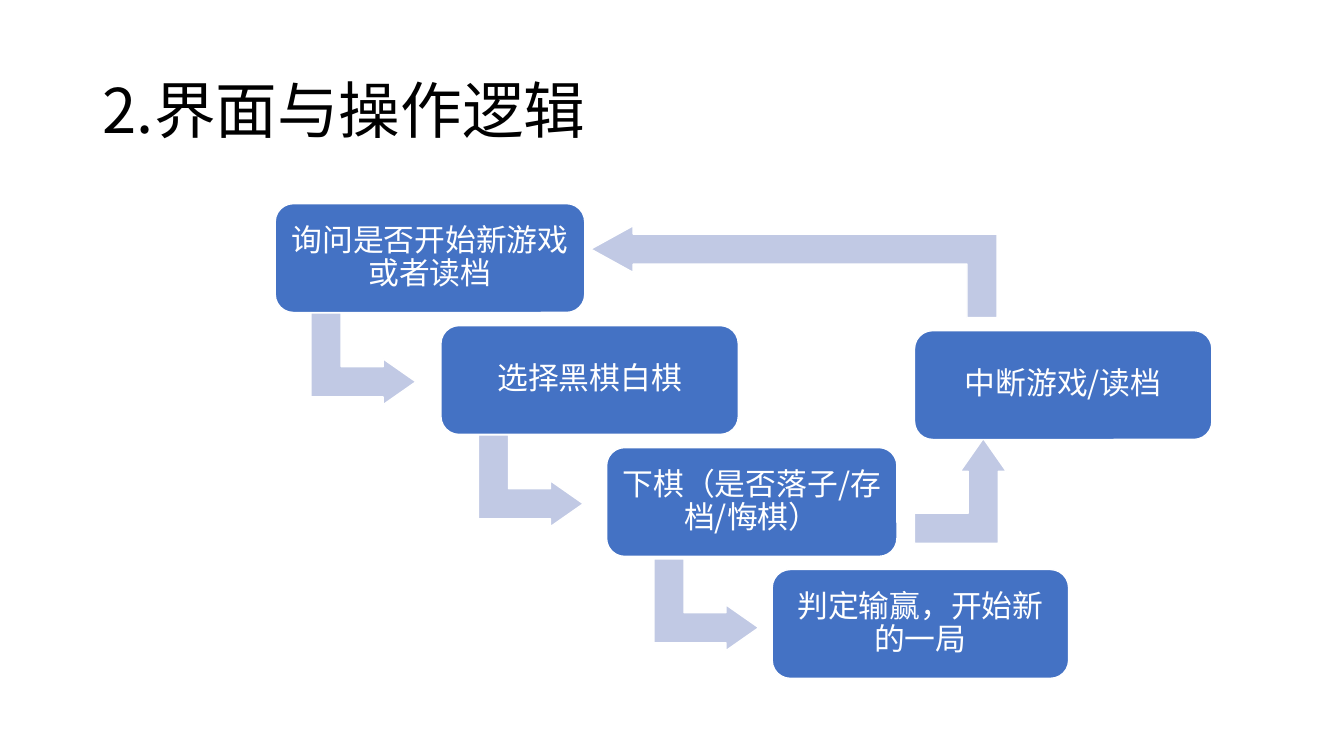
from lxml import etree
from pptx import Presentation
from pptx.dml.color import RGBColor
from pptx.enum.shapes import MSO_SHAPE
from pptx.enum.text import MSO_ANCHOR, PP_ALIGN
from pptx.oxml.ns import qn
from pptx.util import Inches, Pt

ROUNDED = MSO_SHAPE.ROUNDED_RECTANGLE
BENT_ARROW = MSO_SHAPE.BENT_UP_ARROW
MIDDLE = MSO_ANCHOR.MIDDLE
LEFT, CENTER = PP_ALIGN.LEFT, PP_ALIGN.CENTER

FONT = "Noto Sans CJK SC"
COLORS = {"box": "4472C4", "arrow": "C1C9E4", "white": "FFFFFF", "title": "000000"}

STEP_X, STEP_Y = 1.643, 1.21
BOX_H = 1.08
ARROW_W, ARROW_H = 0.91, 1.04


def add_filled(kind, x, y, w, h, color, adjustments):
    sp = slide.shapes.add_shape(kind, Inches(x), Inches(y), Inches(w), Inches(h))
    sp.shadow.inherit = False
    sp.fill.solid()
    sp.fill.fore_color.rgb = RGBColor.from_string(COLORS[color])
    sp.line.color.rgb = RGBColor.from_string(COLORS["white"])
    sp.line.width = Pt(1)
    for i, value in enumerate(adjustments):
        sp.adjustments[i] = value
    return sp


def write_text(sp, text, size, color, align, margin_x, margin_y):
    tf = sp.text_frame
    tf.word_wrap = True
    tf.vertical_anchor = MIDDLE
    tf.margin_left = tf.margin_right = Inches(margin_x)
    tf.margin_top = tf.margin_bottom = Inches(margin_y)
    p = tf.paragraphs[0]
    p.text = text
    p.alignment = align
    p.line_spacing = 0.9
    r = p.runs[0]
    r.font.size = Pt(size)
    r.font.name = FONT
    r.font.color.rgb = RGBColor.from_string(COLORS[color])
    etree.SubElement(r.font._element, qn("a:ea")).set("typeface", FONT)


prs = Presentation()
prs.slide_width, prs.slide_height = Inches(13.33), Inches(7.5)
slide = prs.slides.add_slide(prs.slide_layouts[6])

title = slide.shapes.add_textbox(Inches(0.92), Inches(0.4), Inches(11.5), Inches(1.45))
write_text(title, "2.界面与操作逻辑", 44, "title", LEFT, 0.1, 0.05)

# Four steps descend like stairs; the fifth box leads back to the first.
steps = [
    ("询问是否开始新游戏或者读档", 3.07),
    ("选择黑棋白棋", 2.95),
    ("下棋（是否落子/存档/悔棋）", 2.88),
    ("判定输赢，开始新的一局", 2.94),
]
boxes = [(text, 2.73 + i * STEP_X, 2.02 + i * STEP_Y, w)
         for i, (text, w) in enumerate(steps)]
boxes.append(("中断游戏/读档", 9.07, 3.28, 2.95))

# x, y, height, rotation, adjustments
bend = (0.328, 0.25, 0.358)
arrows = [
    (3.15, 3.04, ARROW_H, 90, bend),
    (4.81, 4.25, ARROW_H, 90, bend),
    (6.55, 5.48, ARROW_H, 90, bend),
    (9.07, 4.35, ARROW_H, 0, bend),
    (7.42, 0.68, 4.03, 270, (0.328, 0.254, 0.461)),
]
for x, y, h, rotation, adjustments in arrows:
    arrow = add_filled(BENT_ARROW, x, y, ARROW_W, h, "arrow", adjustments)
    arrow.rotation = rotation

for text, x, y, w in boxes:
    box = add_filled(ROUNDED, x, y, w, BOX_H, "box", [0.167])
    write_text(box, text, 22, "white", CENTER, 0.09, 0.09)

prs.save("out.pptx")
